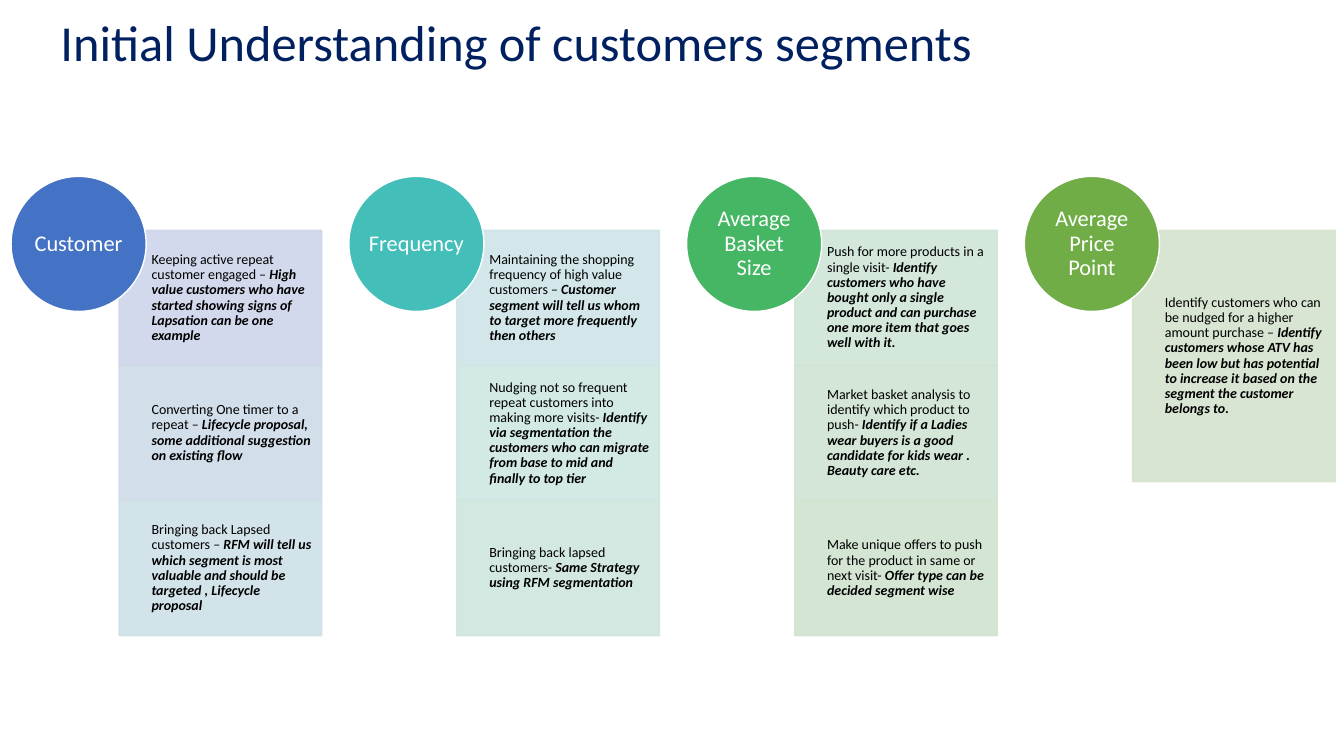
import dataclasses

import lxml.etree
import pptx
import pptx.dml.color
import pptx.enum.shapes
import pptx.enum.text
import pptx.oxml.ns
import pptx.util

TITLE = "Initial Understanding of customers segments"

# Each segment: label, circle colour, box height in grid units,
# boxes as (box colour, goal, emphasised action).
SEGMENTS = [
    ("Customer", "4472C4", 1, [
        ("CFD5EA", "Keeping active repeat customer engaged – ",
         "High value customers who have started showing signs of Lapsation can be one example"),
        ("CFDBE9", "Converting One timer to a repeat – ",
         "Lifecycle proposal, some additional suggestion on existing flow"),
        ("CFE0E8", "Bringing back Lapsed customers – ",
         "RFM will tell us which segment is most valuable and should be targeted , Lifecycle proposal"),
    ]),
    ("Frequency", "43BEB9", 1, [
        ("CFE5E8", "Maintaining the shopping frequency of high value customers – ",
         "Customer segment will tell us whom to target more frequently then others"),
        ("CFE7E3", "Nudging not so frequent repeat customers into making more visits- ",
         "Identify via segmentation the customers who can migrate from base to mid and finally to top tier"),
        ("CFE6DD", "Bringing back lapsed customers- ",
         "Same Strategy using RFM segmentation"),
    ]),
    ("Average Basket Size", "45B664", 1, [
        ("CFE5D8", "Push for more products in a single visit- ",
         "Identify customers who have bought only a single product and can purchase one more item that goes well with it."),
        ("CFE4D3", "Market basket analysis to identify which product to push- ",
         "Identify if a Ladies wear buyers is a good candidate for kids wear . Beauty care etc."),
        ("D0E4CF", "Make unique offers to push for the product in same or next visit- ",
         "Offer type can be decided segment wise"),
    ]),
    ("Average Price Point", "70AD47", 1.86, [
        ("D5E3CF", "Identify customers who can be nudged for a higher amount purchase – ",
         "Identify customers whose ATV has been low but has potential to increase it "
         "based on the segment the customer belongs to."),
    ]),
]


@dataclasses.dataclass(frozen=True)
class Theme:
    font: str = "Calibri"
    title_color: str = "002060"
    body_color: str = "000000"
    light: str = "FFFFFF"
    title_size: int = 36
    label_size: int = 16
    body_size: int = 10
    box_opacity: int = 90


THEME = Theme()
SLIDE_SIZE = (13.33, 7.5)

# Grid in inches: the circle diameter is the unit.
UNIT = 1.34
GRID_LEFT, GRID_TOP = 0.11, 1.75
COLUMN_PITCH = 2.5 * UNIT
BOX_WIDTH = 1.5 * UNIT
BOX_SHIFT, BOX_DROP = 0.8 * UNIT, 0.4 * UNIT
BOX_INSETS = (0.16 * BOX_WIDTH, 0.08, 0.08, 0.08)


def rgb(color):
    return pptx.dml.color.RGBColor.from_string(color)


def set_opacity(color_format_owner, percent):
    """Add an alpha value to every solid colour below the given element."""
    for color in color_format_owner.iter(pptx.oxml.ns.qn("a:srgbClr")):
        alpha = lxml.etree.SubElement(color, pptx.oxml.ns.qn("a:alpha"))
        alpha.set("val", str(percent * 1000))


def add_filled_shape(slide, kind, bounds, fill, line):
    shape = slide.shapes.add_shape(kind, *map(pptx.util.Inches, bounds))
    shape.shadow.inherit = False
    shape.fill.solid()
    shape.fill.fore_color.rgb = rgb(fill)
    shape.line.color.rgb = rgb(line)
    shape.line.width = pptx.util.Pt(1)
    return shape


def write_text(shape, runs, size, color, insets, alignment, spacing=None):
    """Write runs of (text, emphasised) as one vertically centred paragraph."""
    frame = shape.text_frame
    frame.word_wrap = True
    frame.vertical_anchor = pptx.enum.text.MSO_ANCHOR.MIDDLE
    (frame.margin_left, frame.margin_top,
     frame.margin_right, frame.margin_bottom) = map(pptx.util.Inches, insets)
    paragraph = frame.paragraphs[0]
    paragraph.alignment = alignment
    if spacing:
        paragraph.line_spacing = spacing
        paragraph.space_after = pptx.util.Pt(0.35 * size)
    paragraph.font.name = THEME.font
    paragraph.font.size = pptx.util.Pt(size)
    paragraph.font.color.rgb = rgb(color)
    for text, emphasised in runs:
        run = paragraph.add_run()
        run.text = text
        if emphasised:
            run.font.bold = run.font.italic = True


def add_segment(slide, left, label, circle_color, box_units, boxes):
    shapes = pptx.enum.shapes.MSO_SHAPE
    align = pptx.enum.text.PP_ALIGN
    height = box_units * UNIT
    for row, (color, goal, action) in enumerate(boxes):
        top = GRID_TOP + BOX_DROP + row * height
        box = add_filled_shape(slide, shapes.RECTANGLE,
                               (left + BOX_SHIFT, top, BOX_WIDTH, height), color, color)
        set_opacity(box.element, THEME.box_opacity)
        write_text(box, [(goal, False), (action, True)], THEME.body_size,
                   THEME.body_color, BOX_INSETS, align.LEFT, 0.9)
    circle = add_filled_shape(slide, shapes.OVAL, (left, GRID_TOP, UNIT, UNIT),
                              circle_color, THEME.light)
    write_text(circle, [(label, False)], THEME.label_size, THEME.light,
               (0, 0, 0, 0), align.CENTER, 0.9)
    circle.text_frame.word_wrap = " " in label


def main():
    presentation = pptx.Presentation()
    presentation.slide_width, presentation.slide_height = map(pptx.util.Inches, SLIDE_SIZE)
    slide = presentation.slides.add_slide(presentation.slide_layouts[6])
    for column, segment in enumerate(SEGMENTS):
        add_segment(slide, GRID_LEFT + column * COLUMN_PITCH, *segment)
    title = slide.shapes.add_textbox(*map(pptx.util.Inches, (0.6, 0.15, 12.2, 0.52)))
    write_text(title, [(TITLE, False)], THEME.title_size, THEME.title_color,
               (0, 0.05, 0.1, 0.05), pptx.enum.text.PP_ALIGN.LEFT)
    presentation.save("out.pptx")


if __name__ == "__main__":
    main()
